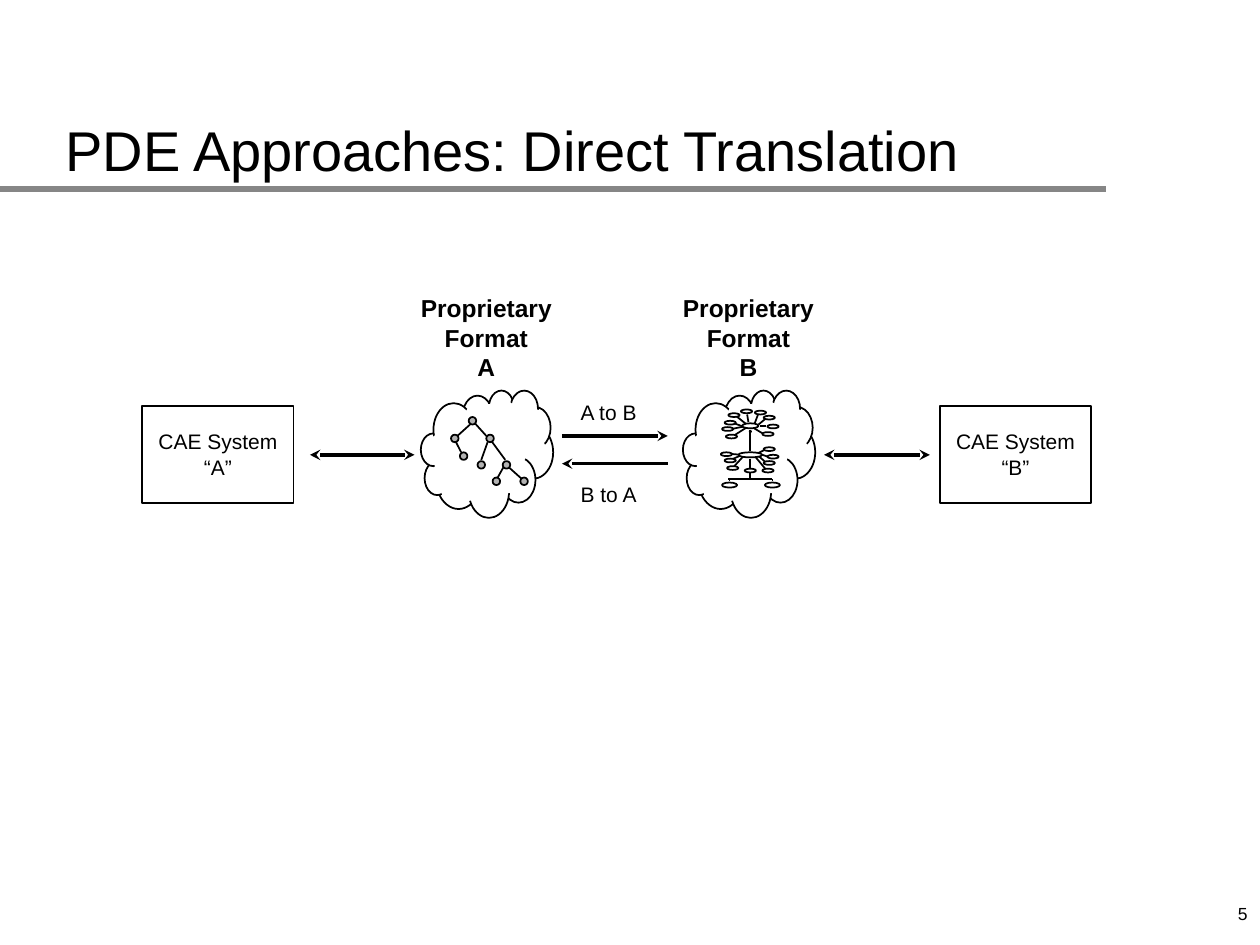
import dataclasses
import typing

import lxml.etree
import pptx
import pptx.dml.color
import pptx.enum.shapes
import pptx.enum.text
import pptx.oxml.ns
import pptx.util

CM_PER_INCH = 2.54
FONT = "Arial"
BLACK, WHITE, GRAY, RULE_GRAY = "000000", "FFFFFF", "B2B2B2", "868686"
FORMAT_PITCH = 2.08
SYSTEM_PITCH = 6.33
ALIGN = pptx.enum.text.PP_ALIGN
ANCHOR = pptx.enum.text.MSO_ANCHOR
SHAPE = pptx.enum.shapes.MSO_SHAPE


@dataclasses.dataclass(frozen=True)
class Oval:
    left: float
    top: float
    width: float
    height: float
    fill: str = WHITE


@dataclasses.dataclass(frozen=True)
class Stroke:
    x1: float
    y1: float
    x2: float
    y2: float
    weight: float = 1
    head: bool = False
    tail: bool = False
    color: str = BLACK


@dataclasses.dataclass(frozen=True)
class Label:
    lines: tuple[str, ...]
    left: float
    top: float
    width: float
    height: float
    size: int = 12
    bold: bool = False
    align: typing.Any = ALIGN.LEFT
    anchor: typing.Any = ANCHOR.TOP
    wrap: bool = False


PUFFS = [Oval(*place) for place in (
    (3.67, 3.14, 0.24, 0.33), (3.88, 3.1, 0.2, 0.27), (4.07, 3.38, 0.32, 0.42),
    (3.46, 3.56, 0.36, 0.48), (3.98, 3.63, 0.27, 0.36), (3.37, 3.66, 0.2, 0.27),
    (3.34, 3.44, 0.2, 0.26), (3.44, 3.2, 0.32, 0.42), (3.72, 3.69, 0.32, 0.42),
    (4.12, 3.23, 0.25, 0.33), (4.05, 3.1, 0.22, 0.29),
)]
CLOUD_CORE = (
    (3.7, 3.26), (3.74, 3.2), (3.91, 3.21), (4.03, 3.18), (4.18, 3.28), (4.26, 3.25),
    (4.3, 3.26), (4.31, 3.5), (4.33, 3.54), (4.26, 3.72), (4.19, 3.59), (4.16, 3.66),
    (4.06, 3.91), (3.7, 3.98), (3.51, 3.93), (3.45, 3.77), (3.45, 3.61), (3.42, 3.48),
)
TREE_NODES = [Oval(left, top, 0.06, 0.06, GRAY) for left, top in (
    (3.86, 3.45), (3.72, 3.31), (3.58, 3.45), (3.79, 3.66),
    (3.65, 3.59), (3.99, 3.66), (4.13, 3.79), (3.91, 3.79),
)]
TREE_EDGES = [Stroke(*ends) for ends in (
    (3.73, 3.37, 3.63, 3.46), (3.77, 3.36, 3.86, 3.46), (3.87, 3.51, 3.82, 3.65),
    (3.9, 3.5, 4.01, 3.65), (3.62, 3.51, 3.66, 3.59), (4, 3.7, 3.95, 3.79),
    (4.04, 3.71, 4.14, 3.8),
)]
HUB_NODES = [Oval(*place) for place in (
    (5.73, 3.83, 0.12, 0.04), (6.07, 3.83, 0.12, 0.04), (5.95, 3.42, 0.01, 0.01),
    (5.86, 3.59, 0.19, 0.04), (5.89, 3.36, 0.13, 0.04),
)]
SATELLITES = [Oval(left, top, 0.09, 0.03) for left, top in (
    (5.91, 3.72), (6.06, 3.55), (6.09, 3.61), (6.06, 3.66), (6.05, 3.72), (5.77, 3.7),
    (5.75, 3.64), (5.72, 3.59), (5.78, 3.28), (5.88, 3.25), (5.99, 3.26), (5.75, 3.34),
    (5.73, 3.39), (5.76, 3.45), (6.06, 3.3), (6.09, 3.37), (6.05, 3.43),
)]
HUB_EDGES = [Stroke(*ends) for ends in (
    (5.95, 3.41, 5.95, 3.58), (5.95, 3.64, 5.95, 3.8), (5.78, 3.8, 6.13, 3.8),
    (5.79, 3.8, 5.79, 3.82), (6.13, 3.8, 6.13, 3.82), (5.94, 3.35, 5.93, 3.29),
    (5.99, 3.36, 6.02, 3.28), (5.94, 3.38, 5.84, 3.3), (5.91, 3.39, 5.8, 3.35),
    (6.02, 3.37, 6.08, 3.32), (6.03, 3.38, 6.08, 3.38), (5.97, 3.39, 6.07, 3.45),
    (5.93, 3.38, 5.78, 3.41), (5.93, 3.39, 5.82, 3.46), (5.89, 3.61, 5.8, 3.65),
    (5.91, 3.61, 5.81, 3.72), (6.01, 3.6, 6.09, 3.56), (6.05, 3.61, 6.11, 3.63),
    (6.01, 3.61, 6.09, 3.68), (5.99, 3.62, 6.09, 3.74), (5.77, 3.6, 5.89, 3.61),
)]
ARROWS = [
    Stroke(2.46, 3.61, 3.29, 3.61, 2, head=True, tail=True),
    Stroke(4.46, 3.46, 5.3, 3.46, 2, tail=True),
    Stroke(4.46, 3.68, 5.3, 3.68, 2, head=True),
    Stroke(6.54, 3.61, 7.38, 3.61, 2, head=True, tail=True),
]
LABELS = [
    Label(("A to B",), 4.51, 3.12, 0.66, 0.3),
    Label(("B to A",), 4.51, 3.77, 0.66, 0.3),
    Label(("5",), 7.92, 7, 2.08, 0.5, 10, align=ALIGN.RIGHT, anchor=ANCHOR.MIDDLE, wrap=True),
]


def length(inches: float) -> pptx.util.Length:
    return pptx.util.Cm(inches * CM_PER_INCH)


def color(value: str) -> pptx.dml.color.RGBColor:
    return pptx.dml.color.RGBColor.from_string(value)


def style(shape: typing.Any, fill: str, line: typing.Optional[str] = BLACK) -> None:
    shape.shadow.inherit = False
    shape.fill.solid()
    shape.fill.fore_color.rgb = color(fill)
    if line is None:
        shape.line.fill.background()
    else:
        shape.line.color.rgb = color(line)
        shape.line.width = pptx.util.Pt(1)


def write(box: typing.Any, label: Label) -> None:
    frame = box.text_frame
    frame.word_wrap = label.wrap
    frame.vertical_anchor = label.anchor
    frame.text = "\n".join(label.lines)
    for para in frame.paragraphs:
        para.alignment = label.align
        para.font.name = FONT
        para.font.size = pptx.util.Pt(label.size)
        para.font.bold = label.bold
        para.font.color.rgb = color(BLACK)


def bounds(item: typing.Union[Oval, Label]) -> list[pptx.util.Length]:
    return [length(value) for value in (item.left, item.top, item.width, item.height)]


def draw_label(shapes: typing.Any, label: Label) -> None:
    write(shapes.add_textbox(*bounds(label)), label)


def draw_system(shapes: typing.Any, label: Label) -> None:
    box = shapes.add_shape(SHAPE.RECTANGLE, *bounds(label))
    style(box, WHITE)
    write(box, label)


def draw_oval(shapes: typing.Any, oval: Oval) -> None:
    style(shapes.add_shape(SHAPE.OVAL, *bounds(oval)), oval.fill)


def draw_stroke(shapes: typing.Any, stroke: Stroke) -> None:
    ends = [length(value) for value in (stroke.x1, stroke.y1, stroke.x2, stroke.y2)]
    connector = shapes.add_connector(pptx.enum.shapes.MSO_CONNECTOR.STRAIGHT, *ends)
    connector.line.color.rgb = color(stroke.color)
    connector.line.width = pptx.util.Pt(stroke.weight)
    qualified = pptx.oxml.ns.qn
    for tag, shown in (("a:headEnd", stroke.head), ("a:tailEnd", stroke.tail)):
        if shown:
            lxml.etree.SubElement(connector.line._get_or_add_ln(), qualified(tag), type="stealth")
    lxml.etree.SubElement(connector._element.spPr, qualified("a:effectLst"))


def draw_cloud(shapes: typing.Any, shift: float) -> None:
    for puff in PUFFS:
        draw_oval(shapes, dataclasses.replace(puff, left=puff.left + shift))
    points = [(length(x + shift), length(y)) for x, y in CLOUD_CORE]
    builder = shapes.build_freeform(*points[0])
    builder.add_line_segments(points[1:], close=True)
    style(builder.convert_to_shape(), WHITE, None)


def main() -> None:
    deck = pptx.Presentation()
    deck.slide_width, deck.slide_height = length(10), length(7.5)
    page = deck.slides.add_slide(deck.slide_layouts[5])
    shapes = page.shapes
    draw_stroke(shapes, Stroke(0, 1.5, 8.78, 1.5, 4, color=RULE_GRAY))

    heading = Label(("PDE Approaches: Direct Translation",), 0.42, 0.29, 8.5, 1.21, 32,
                    anchor=ANCHOR.BOTTOM, wrap=True)
    title = shapes.title
    title.left, title.top, title.width, title.height = bounds(heading)
    write(title, heading)

    contents = (("A", TREE_EDGES, TREE_NODES), ("B", HUB_EDGES, SATELLITES + HUB_NODES))
    for index, (name, edges, nodes) in enumerate(contents):
        shift = index * FORMAT_PITCH
        draw_label(shapes, Label(("Proprietary", "Format", name), 3.24 + shift, 2.28, 1.24, 0.8,
                                 14, True, ALIGN.CENTER))
        group = shapes.add_group_shape()
        draw_cloud(group.shapes, shift)
        for edge in edges:
            draw_stroke(group.shapes, edge)
        for node in nodes:
            draw_oval(group.shapes, node)
        draw_system(shapes, Label(("CAE System", f"“{name}”"), 1.13 + index * SYSTEM_PITCH, 3.22,
                                  1.2, 0.77, align=ALIGN.CENTER, anchor=ANCHOR.MIDDLE))
    for arrow in ARROWS:
        draw_stroke(shapes, arrow)
    for label in LABELS:
        draw_label(shapes, label)
    deck.save("out.pptx")


if __name__ == "__main__":
    main()
